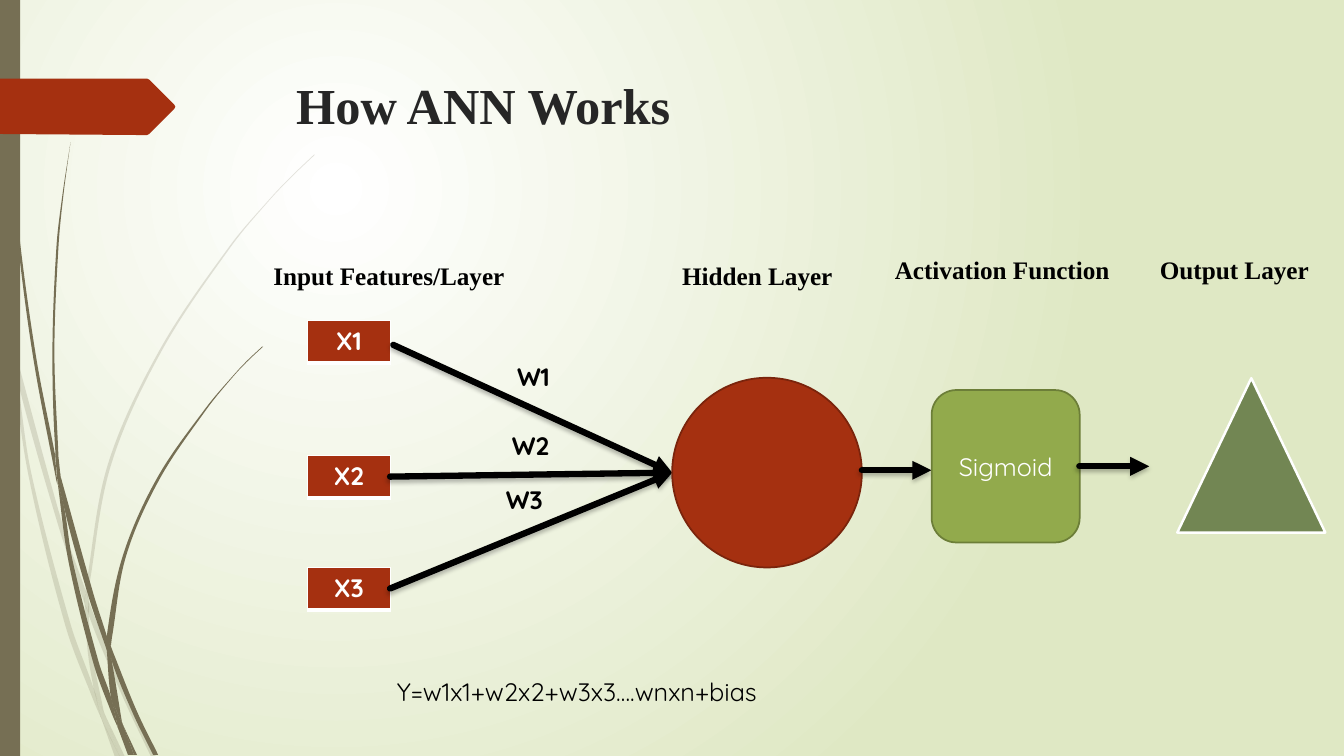
import dataclasses
import math

import pptx
import pptx.dml.color
import pptx.enum.shapes
import pptx.enum.text
import pptx.oxml
import pptx.oxml.ns
import pptx.util

Cm = pptx.util.Cm
Pt = pptx.util.Pt
qn = pptx.oxml.ns.qn
SHAPE = pptx.enum.shapes.MSO_SHAPE
ALIGN = pptx.enum.text.PP_ALIGN
ANCHOR = pptx.enum.text.MSO_ANCHOR


@dataclasses.dataclass(frozen=True)
class Theme:
    serif: str = "Times New Roman"
    sans: str = "Quicksand"
    title_size: int = 36
    text_size: int = 18
    title: str = "262626"
    black: str = "000000"
    white: str = "FFFFFF"
    backdrop: str = "DFE8C4"
    stem: str = "766F54"
    red: str = "A53010"
    dark_red: str = "7A240C"
    lime: str = "92AA4C"
    dark_lime: str = "6C7E38"
    green: str = "728653"


T = Theme()
UNIT = Cm(0.0254)

PALE_BLADES = [
    [[(0, 282), (9, 322), (11, 350)], [(10, 344), (0, 299)]],
    [[(14, 345), (17, 376), (58, 522), (84, 599)], [(85, 586), (62, 520), (14, 345)]],
    [[(88, 596), (88, 610), (123, 694), (150, 751)],
     [(155, 751), (127, 692), (92, 607), (88, 596)]],
    [[(105, 711), (119, 751)], [(124, 751), (105, 711)]],
    [[(11, 350), (28, 470), (65, 621), (92, 693), (101, 714)],
     [(99, 707), (93, 683), (70, 619), (31, 469), (17, 376), (11, 350)]],
    [[(84, 599), (87, 646), (93, 683), (96, 692), (105, 711)],
     [(103, 706), (91, 646), (88, 610), (88, 608), (84, 599)]],
    [[(312, 153), (289, 175), (268, 197), (228, 244), (158, 348), (107, 461),
      (85, 584), (85, 586), (88, 596)],
     [(88, 584), (110, 462), (160, 349), (229, 245), (268, 198), (290, 175), (312, 154)]],
    [[(101, 714), (114, 751)], [(119, 751), (101, 714)]],
    [[(85, 586), (84, 599), (88, 608)], [(88, 610), (88, 596), (85, 586)]],
    [[(93, 683), (99, 707), (101, 714), (119, 751)], [(105, 711), (96, 692), (93, 683)]],
]
DARK_BLADES = [
    [[(3, 0), (4, 48), (7, 110), (17, 233), (33, 355), (56, 477), (57, 481)],
     [(55, 457), (55, 453), (36, 355), (19, 232), (8, 109), (5, 48), (4, 0)]],
    [[(60, 472), (64, 505), (88, 592), (106, 645)],
     [(106, 633), (106, 631), (93, 590), (60, 472)]],
    [[(110, 641), (111, 656), (132, 708), (152, 749)],
     [(157, 749), (136, 706), (113, 649), (110, 641)]],
    [[(57, 477), (68, 557), (93, 659), (111, 708), (117, 722)],
     [(116, 717), (110, 691), (98, 657), (72, 556), (64, 505), (57, 477)]],
    [[(70, 141), (62, 193), (56, 245), (52, 349), (55, 449), (60, 472)],
     [(58, 453), (54, 349), (58, 245), (63, 193), (70, 141)]],
    [[(122, 719), (133, 749)], [(136, 749), (122, 719)]],
    [[(55, 449), (55, 453), (57, 477)], [(64, 505), (60, 472), (55, 449)]],
    [[(260, 344), (245, 358), (231, 373), (204, 405), (156, 474), (122, 551),
      (106, 631), (110, 641)],
     [(111, 633), (125, 552), (158, 476), (205, 406), (231, 374), (245, 359), (261, 344)]],
    [[(117, 722), (127, 749)], [(131, 749), (117, 722)]],
    [[(106, 645), (110, 691), (116, 706), (122, 719)],
     [(121, 716), (111, 656), (109, 651), (106, 645)]],
    [[(106, 631), (106, 645), (111, 656)], [(110, 641), (106, 631)]],
    [[(110, 691), (116, 717), (117, 722), (130, 749)],
     [(133, 749), (122, 719), (116, 706), (110, 691)]],
]
TAG = [[(0, 78)], [(136, 78)], [(146, 78), (148, 79)],
       [(173, 104), (174, 106), (173, 108)], [(148, 133), (146, 134)],
       [(136, 134)], [(0, 133)]]


def rgb(color):
    return pptx.dml.color.RGBColor.from_string(color)


def make_xml(xml):
    head, rest = xml.split(">", 1)
    slash = "/" if head.endswith("/") else ""
    ns = pptx.oxml.ns.nsdecls("a")
    return pptx.oxml.parse_xml(f"{head.rstrip('/')} {ns}{slash}>{rest}")


def write(tf, text, font, size, color, bold=False, align=ALIGN.LEFT):
    p = tf.paragraphs[0]
    p.text = text
    p.alignment = align
    f = p.runs[0].font
    f.name, f.size, f.bold = font, Pt(size), bold
    f.color.rgb = rgb(color)


def paint(sp, fill, line=None, width=1.25):
    sp.shadow.inherit = False
    sp.fill.solid()
    sp.fill.fore_color.rgb = rgb(fill)
    if line:
        sp.line.color.rgb = rgb(line)
        sp.line.width = Pt(width)
    else:
        sp.line.fill.background()


def set_background(s):
    fill = s.background.fill
    fill.gradient()
    for stop, color in zip(fill.gradient_stops, (T.white, T.backdrop)):
        stop.color.rgb = rgb(color)
    grad = s.element.find(".//" + qn("a:gradFill"))
    grad.remove(grad.find(qn("a:lin")))
    grad.append(make_xml('<a:path path="circle"><a:fillToRect l="50000" t="50000" '
                         'r="100000" b="100000"/></a:path>'))


def handle(before, at, after, reach):
    dx, dy = after[0] - before[0], after[1] - before[1]
    k = reach / 3 / (math.hypot(dx, dy) or 1)
    return at[0] + dx * k, at[1] + dy * k


def edge_curves(edge):
    padded = [edge[0], *edge, edge[-1]]
    for a, b, c, d in zip(padded, padded[1:], padded[2:], padded[3:]):
        reach = math.dist(b, c)
        yield handle(a, b, c, reach), handle(d, c, b, reach), c


def add_outline(shapes, edges, color, alpha=100):
    points = [(x * UNIT, y * UNIT) for edge in edges for x, y in edge]
    fb = shapes.build_freeform(*points[0])
    fb.add_line_segments(points[1:], close=True)
    sp = fb.convert_to_shape()
    paint(sp, color)
    lines = iter([None, *sp.element.findall(".//" + qn("a:lnTo"))])
    for edge in edges:
        next(lines)
        for curve in edge_curves(edge):
            pts = "".join(f'<a:pt x="{round(x * UNIT - sp.left)}" '
                          f'y="{round(y * UNIT - sp.top)}"/>' for x, y in curve)
            line = next(lines)
            line.getparent().replace(
                line, make_xml(f"<a:cubicBezTo>{pts}</a:cubicBezTo>"))
    if alpha < 100:
        fill = sp.element.spPr.find(".//" + qn("a:srgbClr"))
        fill.append(make_xml(f'<a:alpha val="{alpha * 1000}"/>'))


def add_block(s, kind, x, y, w, h, fill, line=None, width=1.25):
    sp = s.shapes.add_shape(kind, Cm(x), Cm(y), Cm(w), Cm(h))
    paint(sp, fill, line, width)
    return sp


def add_label(s, text, x, y, w, font=T.serif, bold=True):
    tf = s.shapes.add_textbox(Cm(x), Cm(y), Cm(w), Cm(1.02)).text_frame
    tf.word_wrap = False
    write(tf, text, font, T.text_size, T.black, bold)


def add_arrow(s, x1, y1, x2, y2):
    c = s.shapes.add_connector(pptx.enum.shapes.MSO_CONNECTOR.STRAIGHT,
                               Cm(x1), Cm(y1), Cm(x2), Cm(y2))
    c.line.color.rgb = rgb(T.black)
    c.line.width = Pt(4.5)
    ln = c.element.spPr.find(qn("a:ln"))
    ln.set("cap", "rnd")
    ln.append(make_xml('<a:tailEnd type="triangle"/>'))
    c.element.spPr.append(make_xml(
        '<a:effectLst><a:outerShdw blurRad="38100" dist="25400" dir="5400000">'
        f'<a:srgbClr val="{T.black}"><a:alpha val="25000"/></a:srgbClr>'
        '</a:outerShdw></a:effectLst>'))


def add_input(s, text, y):
    w, h = Cm(2.09), Cm(1.07)
    cell = s.shapes.add_table(1, 1, Cm(7.75), Cm(y), w, h).table.cell(0, 0)
    write(cell.text_frame, text, T.sans, T.text_size, T.white, True, ALIGN.CENTER)
    tcPr = cell._tc.get_or_add_tcPr()
    for side, width in (("L", 1), ("R", 1), ("T", 1), ("B", 3)):
        tcPr.append(make_xml(f'<a:ln{side} w="{Pt(width)}"><a:solidFill>'
                             f'<a:srgbClr val="{T.white}"/></a:solidFill></a:ln{side}>'))
    cell.fill.solid()
    cell.fill.fore_color.rgb = rgb(T.red)


def set_title(s, text):
    sp = s.shapes.title
    sp.left, sp.top, sp.width, sp.height = Cm(7.21), Cm(1.73), Cm(24.77), Cm(3.56)
    tf = sp.text_frame
    tf.auto_size = pptx.enum.text.MSO_AUTO_SIZE.NONE
    tf.vertical_anchor = ANCHOR.TOP
    write(tf, text, T.serif, T.title_size, T.title, True)


def add_decoration(s):
    for blades, alpha in ((PALE_BLADES, 20), (DARK_BLADES, 100)):
        group = s.shapes.add_group_shape()
        for edges in blades:
            add_outline(group.shapes, edges, T.stem, alpha)
    add_block(s, SHAPE.RECTANGLE, 0, 0, 0.51, 19.05, T.stem)
    add_outline(s.shapes, TAG, T.red)


def main():
    prs = pptx.Presentation()
    prs.slide_width, prs.slide_height = Cm(33.87), Cm(19.05)
    s = prs.slides.add_slide(prs.slide_layouts[5])
    set_background(s)
    add_decoration(s)
    set_title(s, "How ANN Works")

    for text, y in (("X1", 8.07), ("X2", 11.47), ("X3", 14.3)):
        add_input(s, text, y)
    for x, y in ((9.91, 8.69), (9.83, 12.01), (9.83, 14.83)):
        add_arrow(s, x, y, 16.94, 11.91)
    for text, x, y in (("W1", 12.78, 8.97), ("W2", 12.65, 10.72), ("W3", 12.5, 12.09)):
        add_label(s, text, x, y, 1.47, T.sans)

    add_block(s, SHAPE.OVAL, 16.94, 9.52, 4.78, 4.78, T.red, T.dark_red)
    add_arrow(s, 21.72, 11.85, 23.47, 11.85)
    sigmoid = add_block(s, SHAPE.ROUNDED_RECTANGLE, 23.48, 9.83, 3.73, 3.84,
                        T.lime, T.dark_lime)
    sigmoid.text_frame.vertical_anchor = ANCHOR.MIDDLE
    write(sigmoid.text_frame, "Sigmoid", T.sans, T.text_size, T.white,
          align=ALIGN.CENTER)
    add_arrow(s, 27.2, 11.75, 28.96, 11.75)
    add_block(s, SHAPE.ISOSCELES_TRIANGLE, 29.67, 9.53, 3.73, 3.89,
              T.green, T.white, 1.75)

    for text, x, y, w in (("Input Features/Layer", 6.64, 6.43, 6.4),
                          ("Hidden Layer", 16.94, 6.43, 7.01),
                          ("Activation Function", 22.3, 6.29, 6.07),
                          ("Output Layer", 28.98, 6.29, 4.39)):
        add_label(s, text, x, y, w)
    add_label(s, "Y=w1x1+w2x2+w3x3….wnxn+bias", 9.75, 16.92, 10.8, T.sans, False)
    prs.save("out.pptx")


if __name__ == "__main__":
    main()
